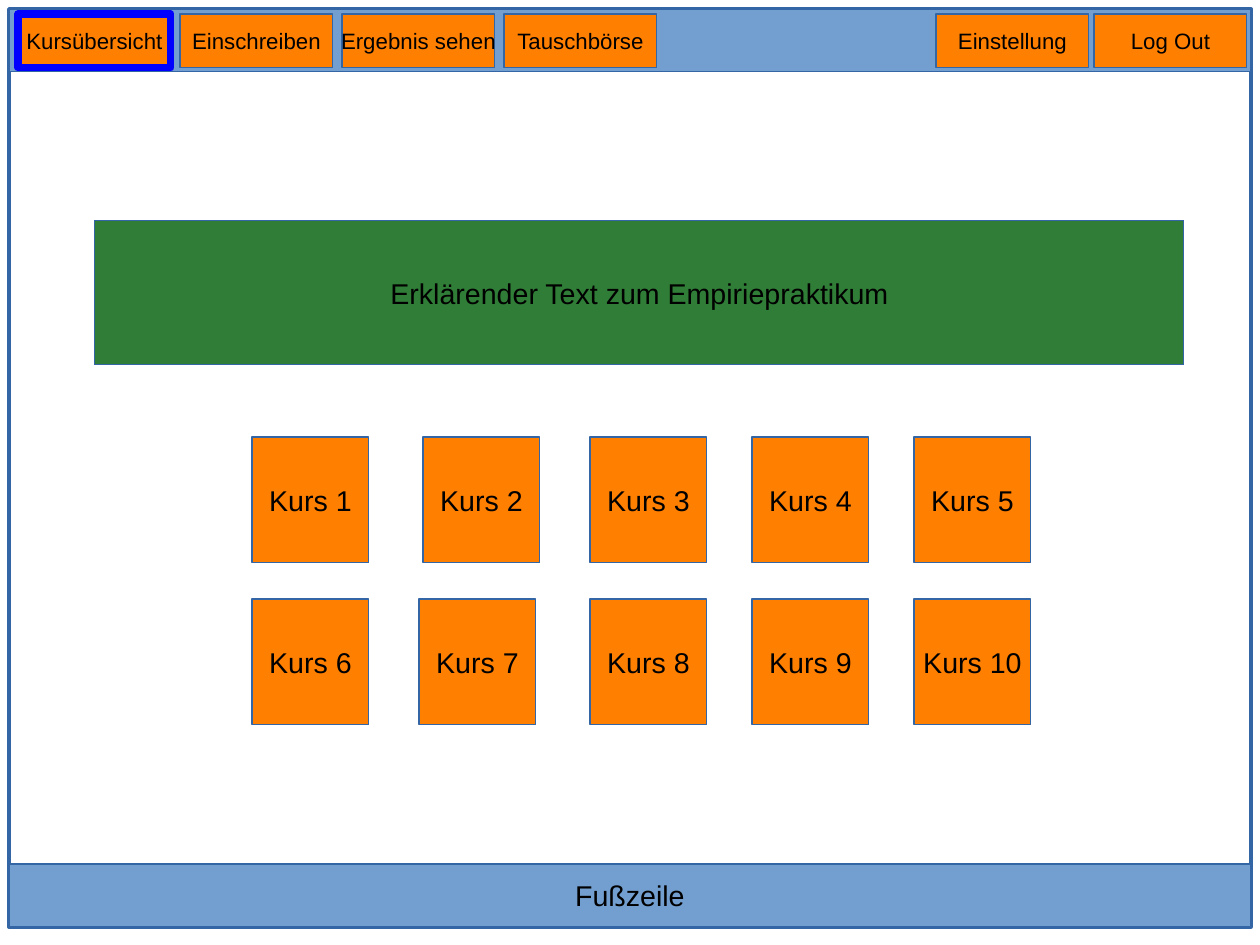
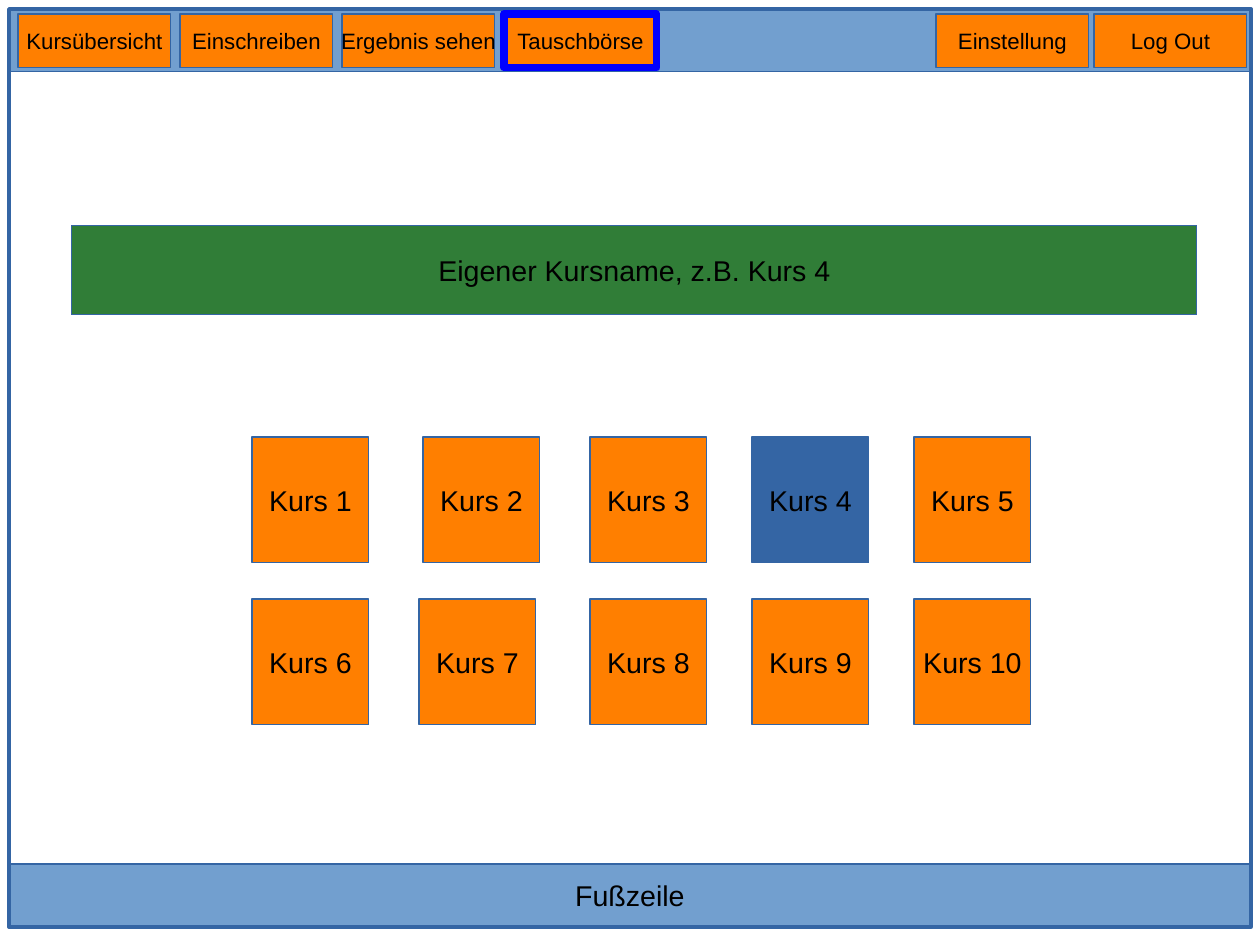
from pptx import Presentation
from pptx.dml.color import RGBColor
from pptx.enum.shapes import MSO_SHAPE
from pptx.enum.text import MSO_ANCHOR, MSO_AUTO_SIZE, PP_ALIGN
from pptx.util import Pt

RECT = MSO_SHAPE.RECTANGLE
FRAME_FORMAT = {"word_wrap": False, "auto_size": MSO_AUTO_SIZE.NONE,
                "vertical_anchor": MSO_ANCHOR.MIDDLE}
PX = 8000
WIDTH, HEIGHT = 1260, 945
TITLE_ONLY = 5
FONT = "Arial"
COLORS = {"bar": "729FCF", "line": "3465A4", "button": "FF7F00",
          "banner": "307D37", "active": "0000FF", "text": "000000"}

MARGIN, INNER_W, INNER_H, BAR_H = 9, 1242, 918, 63
BUTTON_Y, BUTTON_W, BUTTON_H = 14, 153, 54
NAV_GROUPS = [
    (18, 162, ["Kursübersicht", "Einschreiben", "Ergebnis sehen", "Tauschbörse"]),
    (936, 158, ["Einstellung", "Log Out"]),
]
COURSE_W, COURSE_H, COURSE_Y, COURSE_STEP = 117, 126, 437, 162
RIGHT_COLUMNS = [590 + COURSE_STEP * i for i in range(3)]
COURSE_ROWS = [[252, 423] + RIGHT_COLUMNS, [252, 419] + RIGHT_COLUMNS]


def rgb(name):
    """Return a palette colour."""
    return RGBColor.from_string(COLORS[name])


def set_all(obj, values):
    """Set several attributes of an object."""
    for key, value in values.items():
        setattr(obj, key, value)


def style_box(sp, fill=None, line="line", width=0):
    """Give a shape its fill and outline."""
    sp.shadow.inherit = False
    if fill:
        sp.fill.solid()
        sp.fill.fore_color.rgb = rgb(fill)
    else:
        sp.fill.background()
    sp.line.color.rgb = rgb(line)
    sp.line.width = Pt(width)


def write(sp, text, size=18):
    """Put one centred line of text in a shape."""
    tf = sp.text_frame
    set_all(tf, FRAME_FORMAT)
    p = tf.paragraphs[0]
    p.alignment = PP_ALIGN.CENTER
    r = p.add_run()
    r.text = text
    set_all(r.font, {"name": FONT, "size": Pt(size)})
    r.font.color.rgb = rgb("text")


def add_box(s, box, text="", size=18, **look):
    """Add a rectangle with optional text."""
    sp = s.shapes.add_shape(RECT, *(v * PX for v in box))
    style_box(sp, **look)
    if text:
        write(sp, text, size)


def add_banner(s, box, text):
    """Turn the title placeholder into the green banner."""
    sp = s.shapes.title
    set_all(sp, dict(zip(("left", "top", "width", "height"), (v * PX for v in box))))
    style_box(sp, "banner")
    write(sp, text)


def add_frame(s):
    """Outline the page."""
    add_box(s, (MARGIN, MARGIN, INNER_W, INNER_H), width=2.3)


def add_bars(s):
    """Add the header and footer bars."""
    footer_y = MARGIN + INNER_H - BAR_H
    for y, text in ((MARGIN, ""), (footer_y, "Fußzeile")):
        add_box(s, (MARGIN, y, INNER_W, BAR_H), text, fill="bar")


def add_navigation(s, active):
    """Add the header buttons and outline the active one."""
    for left, step, labels in NAV_GROUPS:
        for i, label in enumerate(labels):
            look = {"line": "active", "width": 4.5} if label == active else {}
            add_box(s, (left + i * step, BUTTON_Y, BUTTON_W, BUTTON_H),
                    label, 14, fill="button", **look)


def add_courses(s, own_course):
    """Add the course tiles and mark the own course."""
    number = 0
    for row, columns in enumerate(COURSE_ROWS):
        for x in columns:
            number += 1
            fill = "line" if number == own_course else "button"
            add_box(s, (x, COURSE_Y + row * COURSE_STEP, COURSE_W, COURSE_H),
                    f"Kurs {number}", fill=fill)


def add_page(prs, active, banner_box, banner_text, layers, own_course=None):
    """Build one page of the course portal."""
    s = prs.slides.add_slide(prs.slide_layouts[TITLE_ONLY])
    add_banner(s, banner_box, banner_text)
    for add_layer in layers:
        add_layer(s)
    add_navigation(s, active)
    add_courses(s, own_course)


def main():
    """Build and save the presentation."""
    prs = Presentation()
    set_all(prs, {"slide_width": WIDTH * PX, "slide_height": HEIGHT * PX})
    add_page(prs, "Kursübersicht", (95, 221, 1089, 144),
             "Erklärender Text zum Empiriepraktikum", (add_frame, add_bars))
    add_page(prs, "Tauschbörse", (72, 225, 1125, 90),
             "Eigener Kursname, z.B. Kurs 4", (add_bars, add_frame), own_course=4)
    prs.save("out.pptx")


if __name__ == "__main__":
    main()
